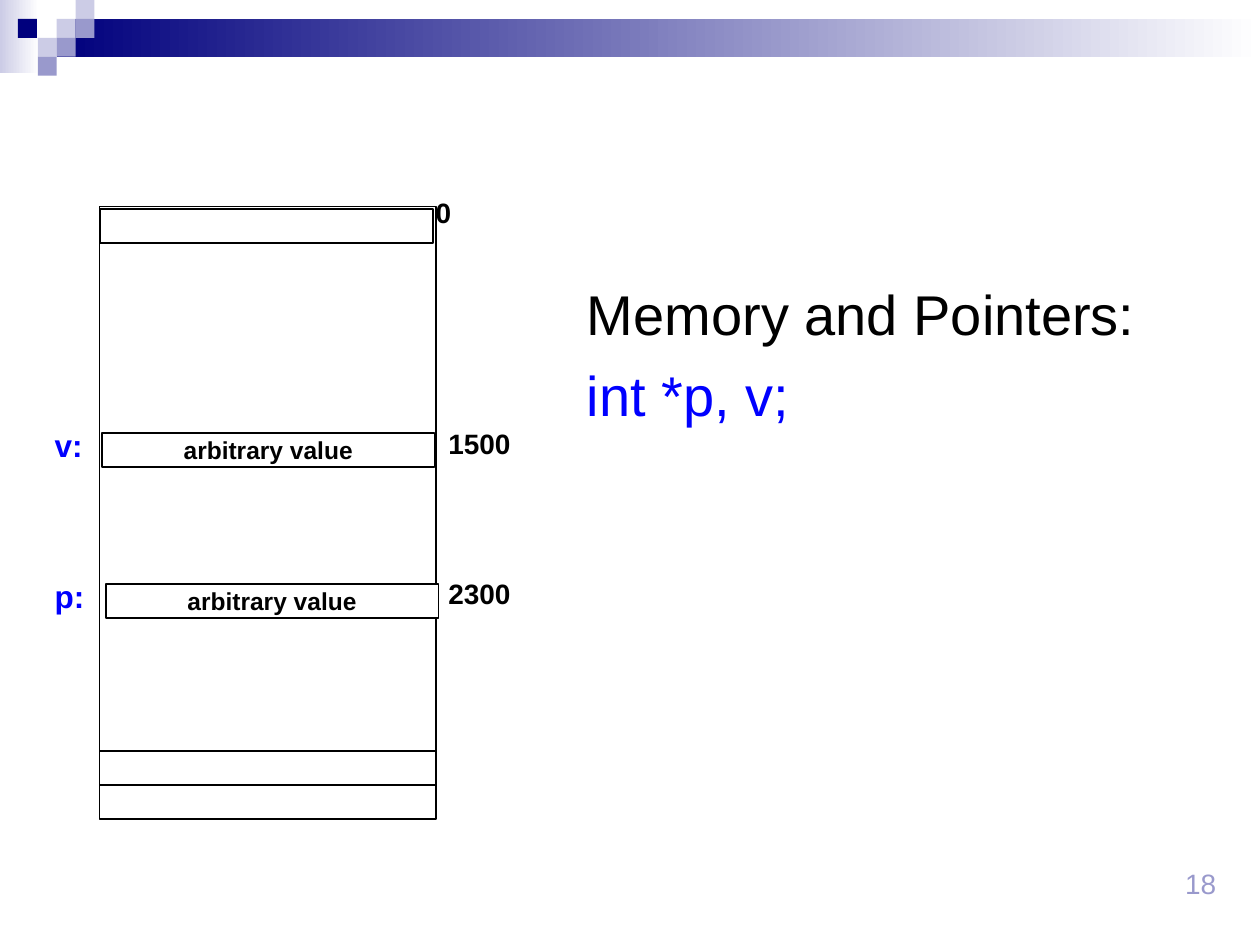
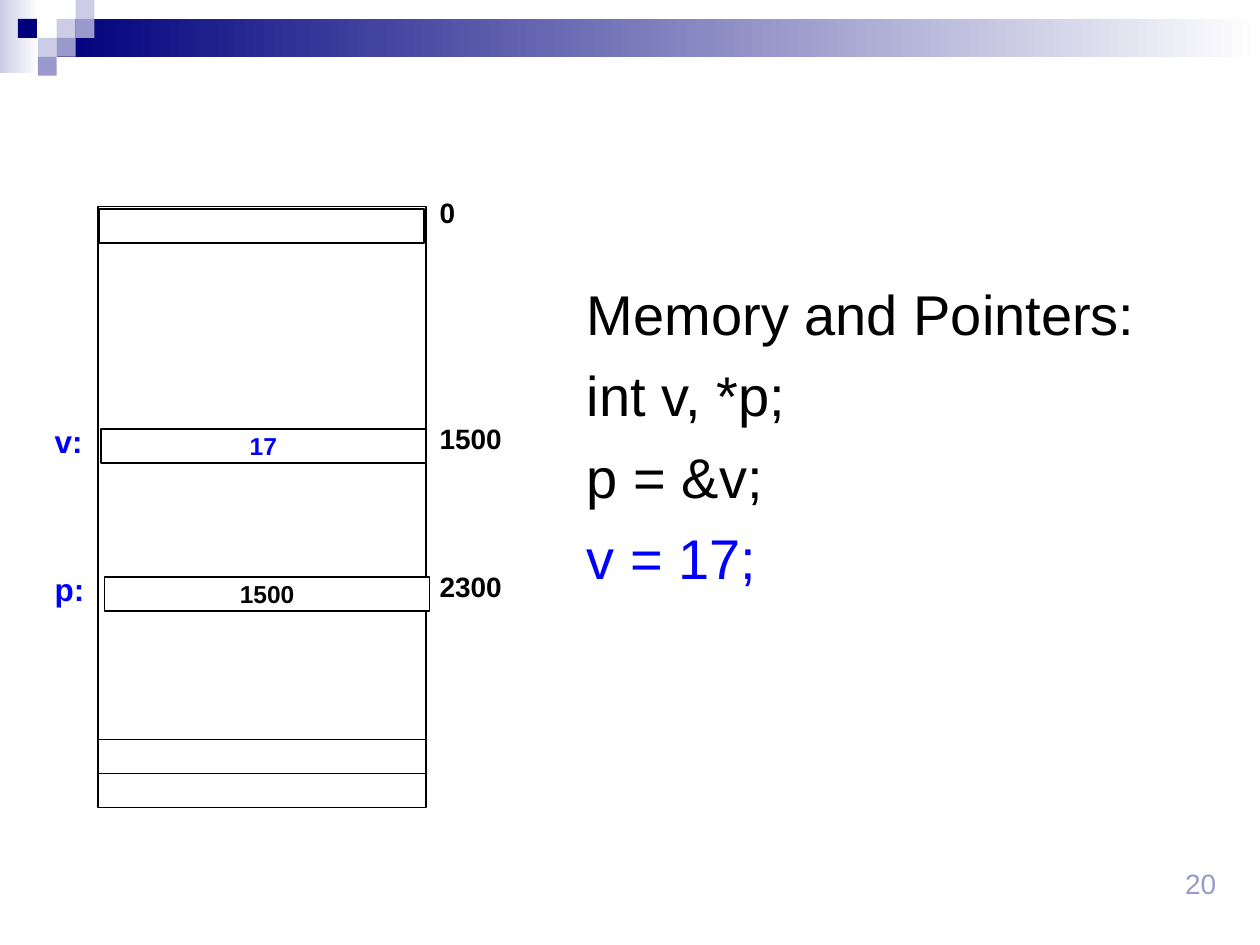
from dataclasses import dataclass

from pptx import Presentation
from pptx import util as u
from pptx.dml.color import RGBColor
from pptx.enum import shapes as kinds, text as t

FONT = "Arial"
BLACK = RGBColor(0x00, 0x00, 0x00)
WHITE = RGBColor(0xFF, 0xFF, 0xFF)
BLUE = RGBColor(0x00, 0x00, 0xFF)
NAVY = RGBColor(0x00, 0x00, 0x7D)
LAVENDER = RGBColor(0x99, 0x99, 0xCC)
PALE = RGBColor(0xCC, 0xCC, 0xE6)

WIDTH, HEIGHT = u.Inches(10), u.Inches(7.5)
COLUMNS, ROWS = 100, 75
TILE = 1.5
CELL_HEIGHT = 2.7
MEMORY_TOP = 16.4


@dataclass(frozen=True)
class Box:
    """A rectangle in grid columns and rows."""
    column: float
    row: float
    columns: float
    rows: float

    def lengths(self) -> tuple:
        return (int(WIDTH * self.column / COLUMNS), int(HEIGHT * self.row / ROWS),
                int(WIDTH * self.columns / COLUMNS), int(HEIGHT * self.rows / ROWS))


@dataclass(frozen=True)
class Line:
    text: str
    color: RGBColor = BLACK


@dataclass(frozen=True)
class Variable:
    name: str
    address: str
    value: Line
    depth: float  # share of the memory's height
    indent: float


@dataclass(frozen=True)
class Memory:
    left: float
    width: float
    height: float
    cell_width: float
    zero_left: float
    address_left: float
    variables: tuple


@dataclass(frozen=True)
class Page:
    number: str
    body_rows: float
    code: tuple
    memory: Memory


@dataclass(frozen=True)
class Tile:
    column: float
    row: float
    color: RGBColor


TILES = (
    Tile(3, 1, PALE), Tile(4, 0, PALE), Tile(4, 1, LAVENDER), Tile(2, 2, PALE),
    Tile(0.95, 1, NAVY), Tile(3, 2, LAVENDER), Tile(2, 3, LAVENDER),
)
FADES = ((Box(0, 0, 3.1, 5.8), PALE), (Box(3 * TILE, TILE, 95.5, 2 * TILE), NAVY))


def variables(v_value: Line, p_value: Line) -> tuple:
    return (Variable("v:", "1500", v_value, 0.37, 0.2),
            Variable("p:", "2300", p_value, 0.616, 0.5))


ARBITRARY = Line("arbitrary value")
HEADING = Line("Memory and Pointers:")
PAGES = (
    Page("18", 20.6, (HEADING, Line("int *p, v;", BLUE)),
         Memory(7.9, 26.7, 48.6, 26.4, 33.6, 34.6, variables(ARBITRARY, ARBITRARY))),
    Page("20", 32.2,
         (HEADING, Line("int v, *p;"), Line("p = &v;"), Line("v = 17;", BLUE)),
         Memory(7.8, 26.0, 47.7, 25.8, 33.9, 33.9,
                variables(Line("17", BLUE), Line("1500")))),
)


def write(shape, lines: tuple, size: float, bold: bool = False, wrap: bool = False,
          align=t.PP_ALIGN.LEFT, anchor=t.MSO_ANCHOR.TOP, gap: float = 0) -> None:
    frame = shape.text_frame
    frame_format = {
        "word_wrap": wrap, "vertical_anchor": anchor,
        "margin_left": u.Inches(0.1), "margin_right": u.Inches(0.1),
        "margin_top": u.Inches(0.05), "margin_bottom": u.Inches(0.05),
    }
    for name, value in frame_format.items():
        setattr(frame, name, value)
    for index, line in enumerate(lines):
        paragraph = frame.add_paragraph() if index else frame.paragraphs[0]
        paragraph.alignment = align
        paragraph.space_before = u.Pt(gap if index else 0)
        run = paragraph.add_run()
        run.text = line.text
        for name, value in {"name": FONT, "size": u.Pt(size), "bold": bold}.items():
            setattr(run.font, name, value)
        run.font.color.rgb = line.color


def add_rectangle(shapes, box: Box, color: RGBColor, outlined: bool = False):
    shape = shapes.add_shape(kinds.MSO_SHAPE.RECTANGLE, *box.lengths())
    shape.shadow.inherit = False
    shape.fill.solid()
    shape.fill.fore_color.rgb = color
    if outlined:
        shape.line.color.rgb = BLACK
        shape.line.width = u.Pt(1)
    else:
        shape.line.fill.background()
    return shape


def add_text(shapes, box: Box, lines: tuple, size: float, **formats) -> None:
    write(shapes.add_textbox(*box.lengths()), lines, size, **formats)


def add_header(slide) -> None:
    shapes = slide.shapes.add_group_shape().shapes
    for box, color in FADES:
        fill = add_rectangle(shapes, box, color).fill
        fill.gradient()
        fill.gradient_angle = 0
        for stop, (position, shade) in zip(fill.gradient_stops, ((0, color), (1, WHITE))):
            stop.position = position
            stop.color.rgb = shade
    for tile in TILES:
        add_rectangle(shapes, Box(tile.column * TILE, tile.row * TILE, TILE, TILE), tile.color)


def add_memory(slide, memory: Memory) -> None:
    shapes = slide.shapes.add_group_shape().shapes

    def add_cell(indent: float, row: float, width: float):
        return add_rectangle(shapes, Box(memory.left + indent, row, width, CELL_HEIGHT),
                             WHITE, outlined=True)

    add_rectangle(shapes, Box(memory.left, MEMORY_TOP, memory.width, memory.height),
                  WHITE, outlined=True)
    add_cell(0, MEMORY_TOP + memory.height - 2 * CELL_HEIGHT, memory.width)
    add_cell(0.05, MEMORY_TOP + 0.2, memory.cell_width)
    add_text(shapes, Box(memory.zero_left, 15, 3.2, 3.7), (Line("0"),), 16, bold=True)
    for variable in memory.variables:
        row = MEMORY_TOP + variable.depth * memory.height
        cell = add_cell(variable.indent, row, memory.cell_width)
        write(cell, (variable.value,), 14, bold=True,
              align=t.PP_ALIGN.CENTER, anchor=t.MSO_ANCHOR.MIDDLE)
        add_text(shapes, Box(memory.address_left, row - 1.05, 7.2, 3.7),
                 (Line(variable.address),), 16, bold=True)
        add_text(shapes, Box(3.35, row - 1.05, 4.8, 4),
                 (Line(variable.name, BLUE),), 18, bold=True, wrap=True)


def add_page(presentation, page: Page) -> None:
    slide = presentation.slides.add_slide(presentation.slide_layouts[6])
    add_header(slide)
    add_text(slide.shapes, Box(91.7, 68.3, 5.8, 5), (Line(page.number, LAVENDER),), 16,
             wrap=True, align=t.PP_ALIGN.RIGHT)
    add_text(slide.shapes, Box(45.6, 21.7, 49.4, page.body_rows), page.code, 32,
             wrap=True, gap=8)
    add_memory(slide, page.memory)


def main() -> None:
    presentation = Presentation()
    presentation.slide_width, presentation.slide_height = WIDTH, HEIGHT
    for page in PAGES:
        add_page(presentation, page)
    presentation.save("out.pptx")


if __name__ == "__main__":
    main()
